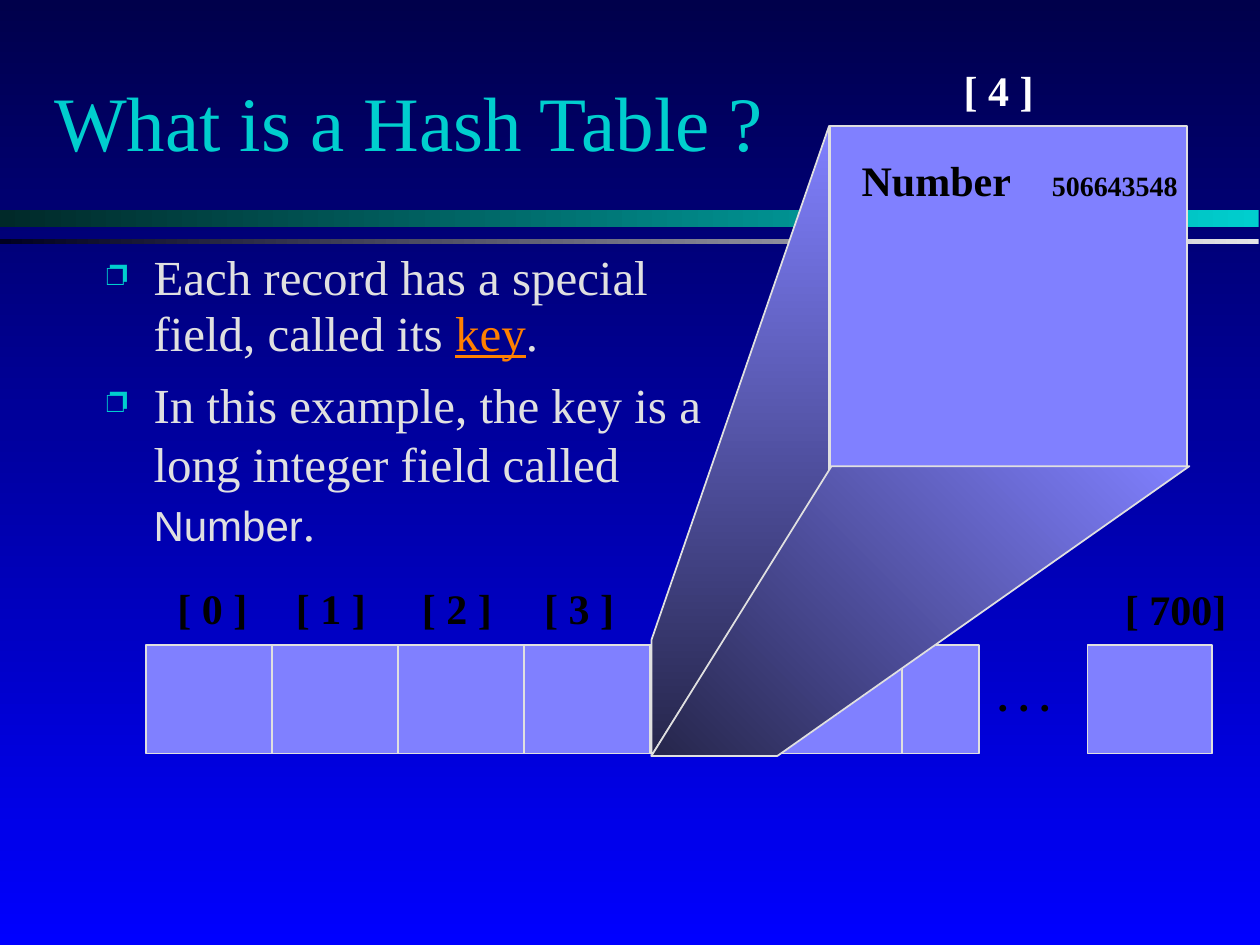
from lxml.etree import SubElement
from pptx import Presentation
from pptx.dml.color import RGBColor
from pptx.enum.shapes import MSO_CONNECTOR, MSO_SHAPE
from pptx.enum.text import MSO_ANCHOR, MSO_AUTO_SIZE, PP_ALIGN
from pptx.oxml.ns import qn
from pptx.util import Inches, Pt

COLORS = {
    "teal": "00CECE", "dark_teal": "002929", "silver": "E4E4E7", "night": "000020",
    "navy": "00004B", "blue": "0000FF", "cell": "8080FF", "shade": "26264B",
    "outline": "E0E0E0", "key": "FF8000", "black": "000000", "white": "FFFFFF",
}
SERIF, SANS = "Times New Roman", "Arial"
WIDTH, HEIGHT = 10, 7.5
TITLE = "What is a Hash Table ?"
BULLETS = [
    (0.95, [("Each record has a special field, called its ", SERIF, 28, "outline"),
            ("key", SERIF, 28, "key"),
            (".", SERIF, 28, "outline")]),
    (1.0, [("In this example, the key is a long integer field called ", SERIF, 28, "outline"),
           ("Number", SANS, 24, "outline"),
           (".", SERIF, 28, "outline")]),
]
RULES = [(1.67, 0.13, "teal", "dark_teal"), (1.9, 0.04, "silver", "night")]
ARRAY_LEFT, ARRAY_TOP, CELL_WIDTH, CELL_HEIGHT, DIVIDERS = 1.16, 5.12, 1, 0.86, 6
BOXES = [(ARRAY_LEFT, ARRAY_TOP, 6.61, CELL_HEIGHT), (8.63, ARRAY_TOP, 0.99, CELL_HEIGHT)]
RECORD = (6.59, 1, 2.83, 2.71)
SIDES = [
    ([(5.17, 5.08), (6.58, 1), (6.58, 3.75), (5.17, 6)], 90),
    ([(5.17, 6), (6.6, 3.7), (9.44, 3.7), (6.17, 6)], 135),
]
INDEX_LABELS = [
    ("[ 0 ]", 1.31, 4.61, 0.75, "black"),
    ("[ 1 ]", 2.25, 4.61, 0.75, "black"),
    ("[ 2 ]", 3.25, 4.61, 0.75, "black"),
    ("[ 3 ]", 4.22, 4.61, 0.75, "black"),
    (". . .", 7.82, 5.3, 0.62, "black"),
    ("[ 700]", 8.83, 4.62, 1, "black"),
    ("[ 4 ]", 7.55, 0.5, 0.75, "white"),
]
FIELD = [("Number", 24), ("\t506643548", 16)]
FIELD_TAB = 1.51


def color(name):
    return RGBColor.from_string(COLORS[name])


def inches(*values):
    return [Inches(value) for value in values]


def fill_gradient(fill, start, end, clockwise):
    fill.gradient()
    fill.gradient_angle = 360 - clockwise
    for stop, name in zip(fill.gradient_stops, (start, end)):
        stop.color.rgb = color(name)


def set_outline(line):
    line.color.rgb = color("outline")
    line.width = Pt(1)


def set_font(font, name, size, color_name, bold=False):
    font.name, font.size, font.bold = name, Pt(size), bold
    font.color.rgb = color(color_name)


def add_box(bounds):
    box = slide.shapes.add_shape(MSO_SHAPE.RECTANGLE, *inches(*bounds))
    box.shadow.inherit = False
    box.fill.solid()
    box.fill.fore_color.rgb = color("cell")
    set_outline(box.line)


def add_label(left, top, width):
    frame = slide.shapes.add_textbox(*inches(left, top, width, 0.47)).text_frame
    frame.word_wrap = True
    frame.auto_size = MSO_AUTO_SIZE.NONE
    frame.margin_right = 0
    paragraph = frame.paragraphs[0]
    paragraph.line_spacing = 0.93
    return paragraph


def add_bullet(paragraph):
    properties = paragraph._p.get_or_add_pPr()
    properties.set("marL", str(Inches(0.37)))
    properties.set("indent", str(-Inches(0.37)))
    bullet_color = SubElement(properties, qn("a:buClr"))
    SubElement(bullet_color, qn("a:srgbClr"), val=COLORS["teal"])
    SubElement(properties, qn("a:buSzPct"), val="75000")
    SubElement(properties, qn("a:buChar"), char="❐")


presentation = Presentation()
presentation.slide_width, presentation.slide_height = inches(WIDTH, HEIGHT)
slide = presentation.slides.add_slide(presentation.slide_layouts[5])
fill_gradient(slide.background.fill, "navy", "blue", 90)

title = slide.shapes.title
title.left, title.top, title.width, title.height = inches(0.33, 0.37, 8.5, 1.25)
title.text_frame.text = TITLE
title.text_frame.vertical_anchor = MSO_ANCHOR.MIDDLE
title.text_frame.auto_size = MSO_AUTO_SIZE.NONE
heading = title.text_frame.paragraphs[0]
heading.alignment = PP_ALIGN.LEFT
heading.line_spacing = 0.95
set_font(heading.font, SERIF, 44, "teal")

for top, height, start, end in RULES:
    rule = slide.shapes.add_shape(MSO_SHAPE.RECTANGLE, *inches(0, top, WIDTH - 0.01, height))
    rule.shadow.inherit = False
    rule.line.fill.background()
    fill_gradient(rule.fill, start, end, 180)

body = slide.shapes.add_textbox(*inches(0.75, 1.94, 4.95, 4.5)).text_frame
body.word_wrap = True
for number, (spacing, runs) in enumerate(BULLETS):
    paragraph = body.add_paragraph() if number else body.paragraphs[0]
    paragraph.line_spacing = spacing
    paragraph.space_before = Pt(7)
    add_bullet(paragraph)
    for text, font_name, size, color_name in runs:
        run = paragraph.add_run()
        run.text = text
        set_font(run.font, font_name, size, color_name)
        run.font.underline = color_name == "key"

for bounds in BOXES:
    add_box(bounds)
for column in range(1, DIVIDERS + 1):
    x = ARRAY_LEFT + column * CELL_WIDTH
    divider = slide.shapes.add_connector(
        MSO_CONNECTOR.STRAIGHT, *inches(x, ARRAY_TOP, x, ARRAY_TOP + CELL_HEIGHT))
    set_outline(divider.line)
    SubElement(divider._element.spPr, qn("a:effectLst"))

add_box(RECORD)
for points, angle in SIDES:
    corners = [inches(*point) for point in points]
    builder = slide.shapes.build_freeform(*corners[0])
    builder.add_line_segments(corners[1:], close=True)
    side = builder.convert_to_shape()
    side.shadow.inherit = False
    fill_gradient(side.fill, "cell", "shade", angle)
    set_outline(side.line)

for text, left, top, width, color_name in INDEX_LABELS:
    paragraph = add_label(left, top, width)
    paragraph.text = text
    set_font(paragraph.font, SERIF, 24, color_name, True)

field = add_label(6.74, 1.21, 2.72)
tabs = SubElement(field._p.get_or_add_pPr(), qn("a:tabLst"))
SubElement(tabs, qn("a:tab"), pos=str(Inches(FIELD_TAB)), algn="l")
for text, size in FIELD:
    run = field.add_run()
    run.text = text
    set_font(run.font, SERIF, size, "black", True)

presentation.save("out.pptx")
